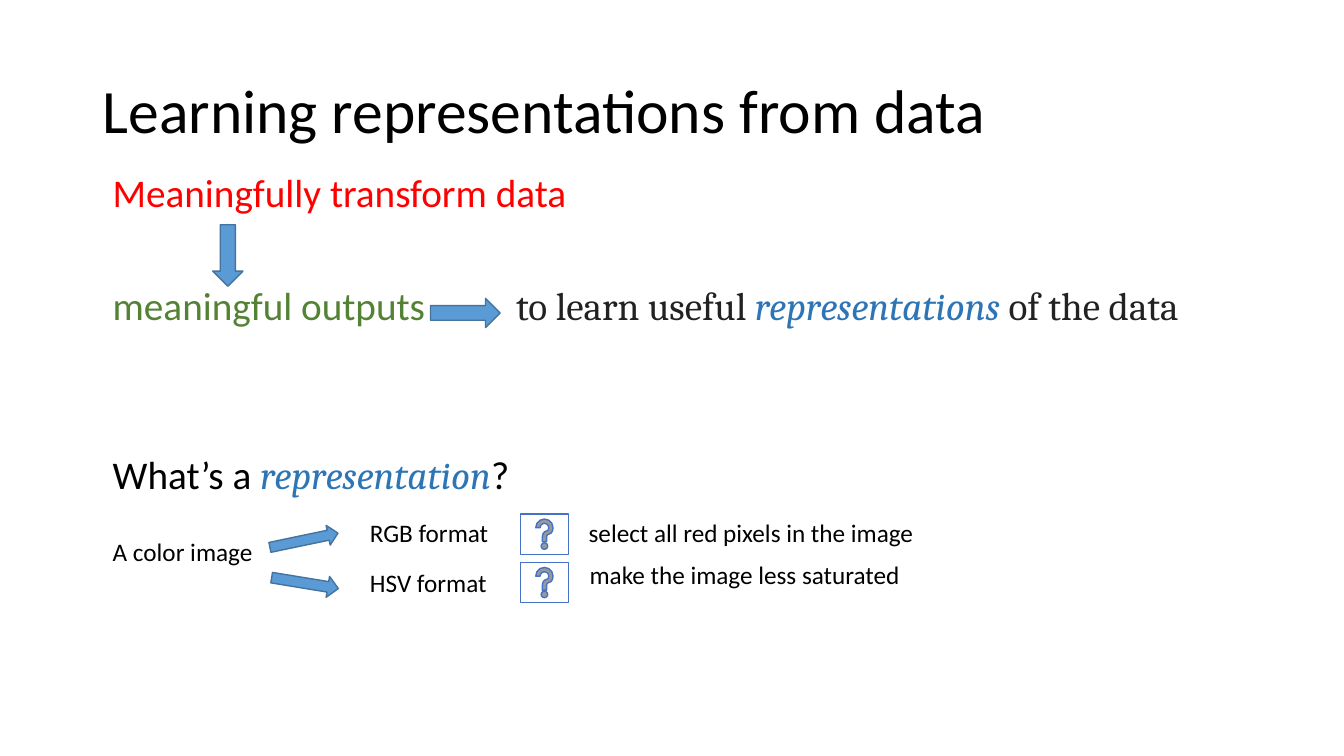
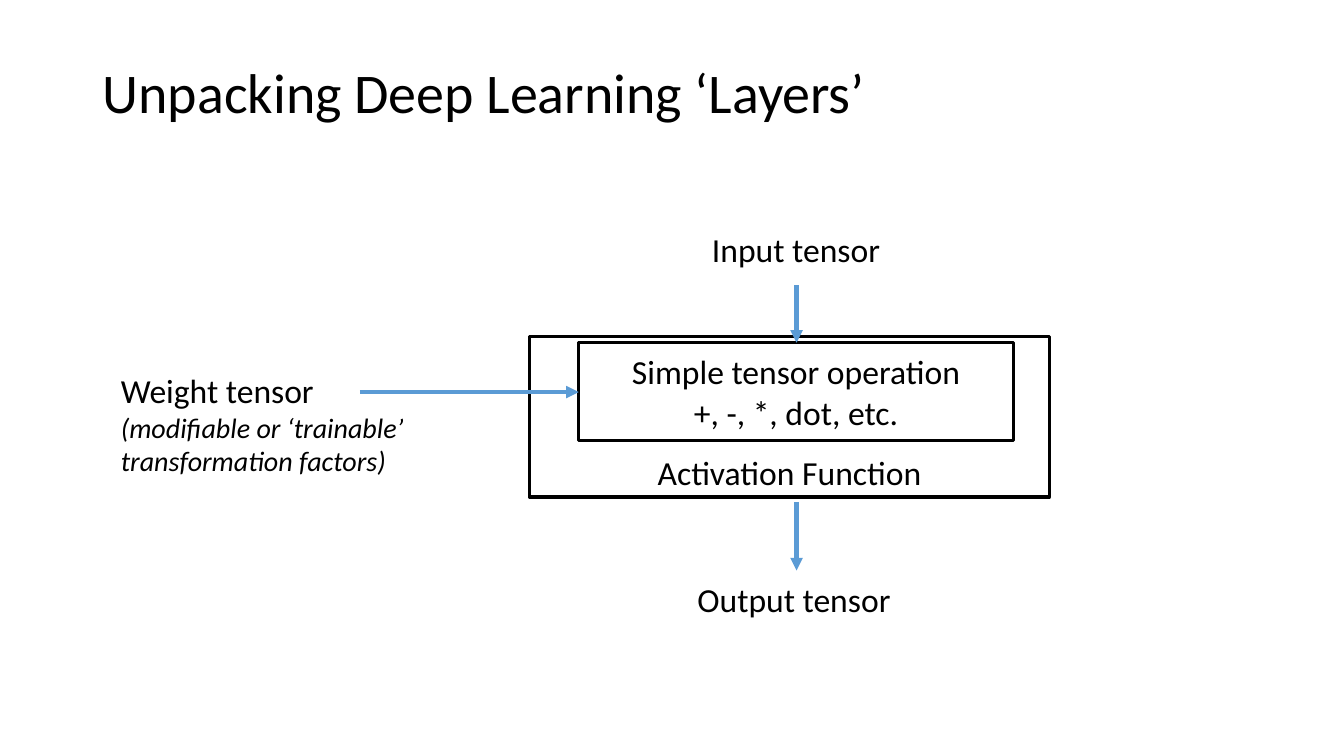
from dataclasses import dataclass

from lxml import etree
from pptx import Presentation
from pptx import util as u
from pptx.dml.color import RGBColor
from pptx.enum import shapes, text
from pptx.oxml.ns import qn

MSO = shapes.MSO_SHAPE
ALIGN = text.PP_ALIGN
ANCHOR = text.MSO_ANCHOR


@dataclass(frozen=True)
class Theme:
    font: str = "Calibri"
    serif: str = "Cambria"
    black: str = "000000"
    white: str = "FFFFFF"
    red: str = "FF0000"
    green: str = "548235"
    grey: str = "222222"
    term: str = "2E75B6"
    arrow: str = "5B9BD5"
    arrow_edge: str = "43739E"
    button_edge: str = "4472C4"
    title: int = 44
    title_small: int = 40
    body: int = 28
    diagram: int = 24
    note: int = 20
    label: int = 18


T = Theme()
SERIF = dict(font=T.serif, color=T.grey)
TERM = dict(font=T.serif, color=T.term, italic=True)


def rgb(value):
    return RGBColor.from_string(value)


def add_run(p, words, size=T.label, font=T.font, color=T.black, italic=False):
    r = p.add_run()
    r.text = words
    r.font.size = u.Pt(size)
    r.font.name = font
    r.font.italic = italic
    r.font.color.rgb = rgb(color)


def add_tab_stop(p, position):
    tabs = etree.SubElement(p._p.get_or_add_pPr(), qn("a:tabLst"))
    etree.SubElement(tabs, qn("a:tab"), pos=str(u.Inches(position)), algn="l")


def write(sp, *paragraphs, align=ALIGN.LEFT, anchor=ANCHOR.TOP, spacing=1.0,
          tab=None, **fmt):
    """Fill a shape; a paragraph is a string or a list of (words, format overrides)."""
    tf = sp.text_frame
    tf.word_wrap = True
    tf.vertical_anchor = anchor
    for i, runs in enumerate(paragraphs):
        p = tf.add_paragraph() if i else tf.paragraphs[0]
        p.alignment = align
        p.line_spacing = spacing
        if tab:
            add_tab_stop(p, tab)
        for words, own in [(runs, {})] if isinstance(runs, str) else runs:
            add_run(p, words, **{**fmt, **own})


def add_text(s, box, *paragraphs, **fmt):
    write(s.shapes.add_textbox(*map(u.Inches, box)), *paragraphs, **fmt)


def add_title(s, words, height, size):
    add_text(s, (0.92, 0.4, 11.5, height), words, size=size,
             anchor=ANCHOR.MIDDLE, spacing=0.9)


def add_shape(s, kind, box, fill=T.white, edge=T.black, weight=1, rotation=0):
    sp = s.shapes.add_shape(kind, *map(u.Inches, box))
    sp.shadow.inherit = False
    sp.fill.solid()
    sp.fill.fore_color.rgb = rgb(fill)
    sp.line.color.rgb = rgb(edge)
    sp.line.width = u.Pt(weight)
    sp.rotation = rotation
    return sp


def add_block_arrow(s, kind, box, rotation=0):
    add_shape(s, kind, box, T.arrow, T.arrow_edge, rotation=rotation)


def add_box(s, box, *paragraphs, anchor):
    sp = add_shape(s, MSO.RECTANGLE, box, weight=2.25)
    write(sp, *paragraphs, size=T.diagram, align=ALIGN.CENTER, anchor=anchor)


def add_arrow(s, x1, y1, x2, y2):
    cxn = s.shapes.add_connector(shapes.MSO_CONNECTOR.STRAIGHT,
                                 *map(u.Inches, (x1, y1, x2, y2)))
    cxn.line.color.rgb = rgb(T.arrow)
    cxn.line.width = u.Pt(3)
    etree.SubElement(cxn.line._get_or_add_ln(), qn("a:tailEnd"), type="triangle")
    etree.SubElement(cxn._element.spPr, qn("a:effectLst"))


def representations_slide(s):
    add_title(s, "Learning representations from data", 1.45, T.title)
    statements = [
        (1.67, [("Meaningfully transform data", dict(color=T.red))]),
        (2.79, [("meaningful outputs\t", dict(color=T.green)),
                ("to learn useful ", SERIF), ("representations", TERM),
                (" of the data", SERIF)]),
        (4.47, [("What’s a ", {}), ("representation", TERM), ("?", {})]),
    ]
    for top, runs in statements:
        add_text(s, (1.02, top, 11.5, 0.55), runs, size=T.body, spacing=0.9, tab=4)

    add_block_arrow(s, MSO.DOWN_ARROW, (2.11, 2.23, 0.3, 0.61))
    add_block_arrow(s, MSO.RIGHT_ARROW, (4.27, 2.96, 0.69, 0.29))

    add_text(s, (1.02, 5.27, 1.77, 0.4), "A color image")
    formats = [
        ("RGB format", 5.08, "select all red pixels in the image", 5.74, 5.08,
         5.1, (2.67, 5.26, 0.69, 0.2), -11.8),
        ("HSV format", 5.58, "make the image less saturated", 5.75, 5.5,
         5.58, (2.69, 5.68, 0.67, 0.21), 9.3),
    ]
    for name, top, task, task_left, task_top, button_top, arrow, angle in formats:
        add_block_arrow(s, MSO.RIGHT_ARROW, arrow, angle)
        add_text(s, (3.57, top, 1.39, 0.4), name)
        add_text(s, (task_left, task_top, 3.56, 0.4), task)
        add_shape(s, MSO.ACTION_BUTTON_HELP, (5.16, button_top, 0.48, 0.4),
                  edge=T.button_edge)


def layers_slide(s):
    add_title(s, "Unpacking Deep Learning ‘Layers’", 1.09, T.title_small)
    add_box(s, (5.25, 3.34, 5.16, 1.59), "Activation Function", anchor=ANCHOR.BOTTOM)
    add_box(s, (5.74, 3.4, 4.31, 0.97), "Simple tensor operation",
            "+, -, *, dot, etc.", anchor=ANCHOR.MIDDLE)

    for words, left, top in [("Input tensor", 6.32, 2.22), ("Output tensor", 6.3, 5.69)]:
        add_text(s, (left, top, 3.15, 0.5), words, size=T.diagram, align=ALIGN.CENTER)
    add_text(s, (1.1, 3.62, 4.15, 1.18), "Weight tensor",
             [("(modifiable or ‘trainable’ transformation factors)",
               dict(size=T.note, italic=True))], size=T.diagram)

    flow_x = 7.9
    add_arrow(s, flow_x, 2.83, flow_x, 3.4)
    add_arrow(s, flow_x, 4.98, flow_x, 5.66)
    add_arrow(s, 3.57, 3.89, 5.74, 3.89)


def main():
    prs = Presentation()
    prs.slide_width, prs.slide_height = u.Inches(13.33), u.Inches(7.5)
    for build in (representations_slide, layers_slide):
        build(prs.slides.add_slide(prs.slide_layouts[6]))
    prs.save("out.pptx")


if __name__ == "__main__":
    main()
